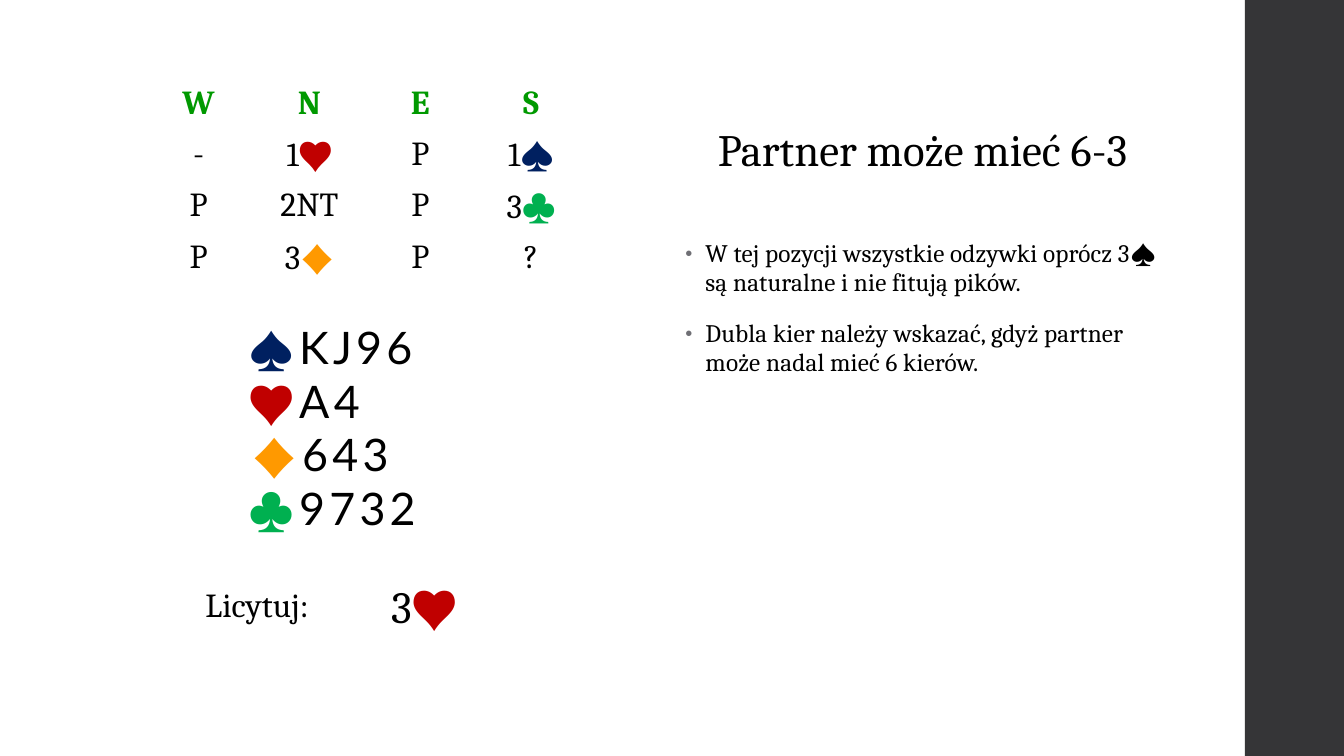
from dataclasses import dataclass
from lxml.etree import SubElement
from pptx import Presentation
from pptx.dml.color import RGBColor
from pptx.enum.shapes import MSO_SHAPE
from pptx.enum.text import MSO_ANCHOR, PP_ALIGN
from pptx.oxml.ns import qn
from pptx.util import Emu, Inches, Pt

SERIF, SANS = "Cambria", "Lato"
BLACK, GREEN = "000000", "009900"
SUITS = {"♠": "002060", "♥": "C00000", "♦": "FF9900", "♣": "00B050"}


@dataclass
class Box:
    """Place on the slide, in percent of its width and height."""
    left: float
    top: float
    width: float
    height: float


@dataclass
class Holding:
    suit: str
    cards: str
    indent: float = 0


deck = Presentation()
deck.slide_width, deck.slide_height = Inches(13.333), Inches(7.5)
slide = deck.slides.add_slide(deck.slide_layouts[6])


def wide(share: float) -> Emu:
    return Emu(round(deck.slide_width * share / 100))


def high(share: float) -> Emu:
    return Emu(round(deck.slide_height * share / 100))


def place(box: Box) -> tuple[Emu, Emu, Emu, Emu]:
    return wide(box.left), high(box.top), wide(box.width), high(box.height)


def color(code: str) -> RGBColor:
    return RGBColor.from_string(code)


def write(para, text: str, size: float, code: str = BLACK, face: str = SERIF,
          bold: bool = False, gap: float = 0) -> None:
    run = para.add_run()
    run.text = text
    font = run.font
    font.size, font.name, font.bold = Pt(size), face, bold
    font.color.rgb = color(code)
    if gap:
        run._r.get_or_add_rPr().set("spc", str(round(gap * 100)))


def write_bid(para, bid: str, size: float, code: str, bold: bool) -> None:
    suit = bid[-1] if bid[-1] in SUITS else ""
    write(para, bid.removesuffix(suit), size, code, bold=bold)
    if suit:
        write(para, suit, size, SUITS[suit], SANS, gap=3)


def add_text(box: Box):
    frame = slide.shapes.add_textbox(*place(box)).text_frame
    frame.word_wrap = True
    return frame


def add_para(frame, index: int):
    return frame.add_paragraph() if index else frame.paragraphs[0]


def add_grid(box: Box, rows: int, cols: list[float]):
    grid = slide.shapes.add_table(rows, len(cols), *place(box)).table
    grid.first_row = grid.horz_banding = False
    for col, share in zip(grid.columns, cols):
        col.width = wide(share)
    for cell in grid.iter_cells():
        cell.fill.background()
        cell.vertical_anchor = MSO_ANCHOR.MIDDLE
        cell.text_frame.paragraphs[0].alignment = PP_ALIGN.CENTER
    return grid


def add_bullet(para) -> None:
    props = para._p.get_or_add_pPr()
    props.set("marL", str(Inches(0.2)))
    props.set("indent", str(Inches(-0.2)))
    tint = SubElement(props, qn("a:buClr"))
    SubElement(tint, qn("a:srgbClr"), val="6F6F74")
    SubElement(props, qn("a:buSzPct"), val="80000")
    SubElement(props, qn("a:buFont"), typeface="Arial")
    SubElement(props, qn("a:buChar"), char="•")


def add_tabs(para, indent: float) -> None:
    props = para._p.get_or_add_pPr()
    props.set("marL", str(Inches(indent)))
    props.set("indent", "0")
    tabs = SubElement(props, qn("a:tabLst"))
    for stop, side in ((0.5, "r"), (0.7, "l")):
        SubElement(tabs, qn("a:tab"), pos=str(Inches(stop)), algn=side)


# Side band
band = slide.shapes.add_shape(MSO_SHAPE.RECTANGLE, *place(Box(92.62, 0, 7.38, 100)))
band.shadow.inherit = False
band.fill.solid()
band.fill.fore_color.rgb = color("353537")
band.line.fill.background()

# Auction
AUCTION = [
    ["W", "N", "E", "S"],
    ["-", "1♥", "P", "1♠"],
    ["P", "2NT", "P", "3♣"],
    ["P", "3♦", "P", "?"],
]
grid = add_grid(Box(10.65, 10.53, 33, 21.88), len(AUCTION), [8.25] * 4)
for row, bids in enumerate(AUCTION):
    for col, bid in enumerate(bids):
        para = grid.cell(row, col).text_frame.paragraphs[0]
        write_bid(para, bid, 24, BLACK if row else GREEN, bold=not row)

# Comments
NOTES = [
    "W tej pozycji wszystkie odzywki oprócz 3♠ są naturalne i nie fitują pików.",
    "Dubla kier należy wskazać, gdyż partner może nadal mieć 6 kierów.",
]
frame = add_text(Box(50.25, 31.07, 36.75, 60.13))
for index, note in enumerate(NOTES):
    para = add_para(frame, index)
    para.line_spacing, para.space_after = 0.95, Pt(2)
    if index:
        para.space_before = Pt(14)
    add_bullet(para)
    write(para, note, 18, gap=0.1)

# Hand
HAND = [
    Holding("♠", "KJ96"),
    Holding("♥", "A4"),
    Holding("♦", "643", 0.03),
    Holding("♣", "9732"),
]
frame = add_text(Box(14.03, 41.6, 26.18, 30.13))
for index, held in enumerate(HAND):
    para = add_para(frame, index)
    add_tabs(para, held.indent)
    write(para, f"\t{held.suit}\t", 32, SUITS[held.suit], SANS, gap=3)
    write(para, held.cards, 32, BLACK, SANS, gap=3)

# Title
frame = add_text(Box(50.25, 15.33, 36.82, 8.53))
frame.vertical_anchor = MSO_ANCHOR.MIDDLE
para = frame.paragraphs[0]
para.alignment = PP_ALIGN.CENTER
write(para, "Partner może mieć 6-3", 32)

# Answer
grid = add_grid(Box(9.9, 76, 30.3, 8.4), 1, [18.45, 11.85])
ask, call = (cell.text_frame.paragraphs[0] for cell in grid.iter_cells())
write(ask, "Licytuj:", 24)
call.alignment = PP_ALIGN.LEFT
write_bid(call, "3♥", 32, BLACK, bold=False)

deck.save("out.pptx")
